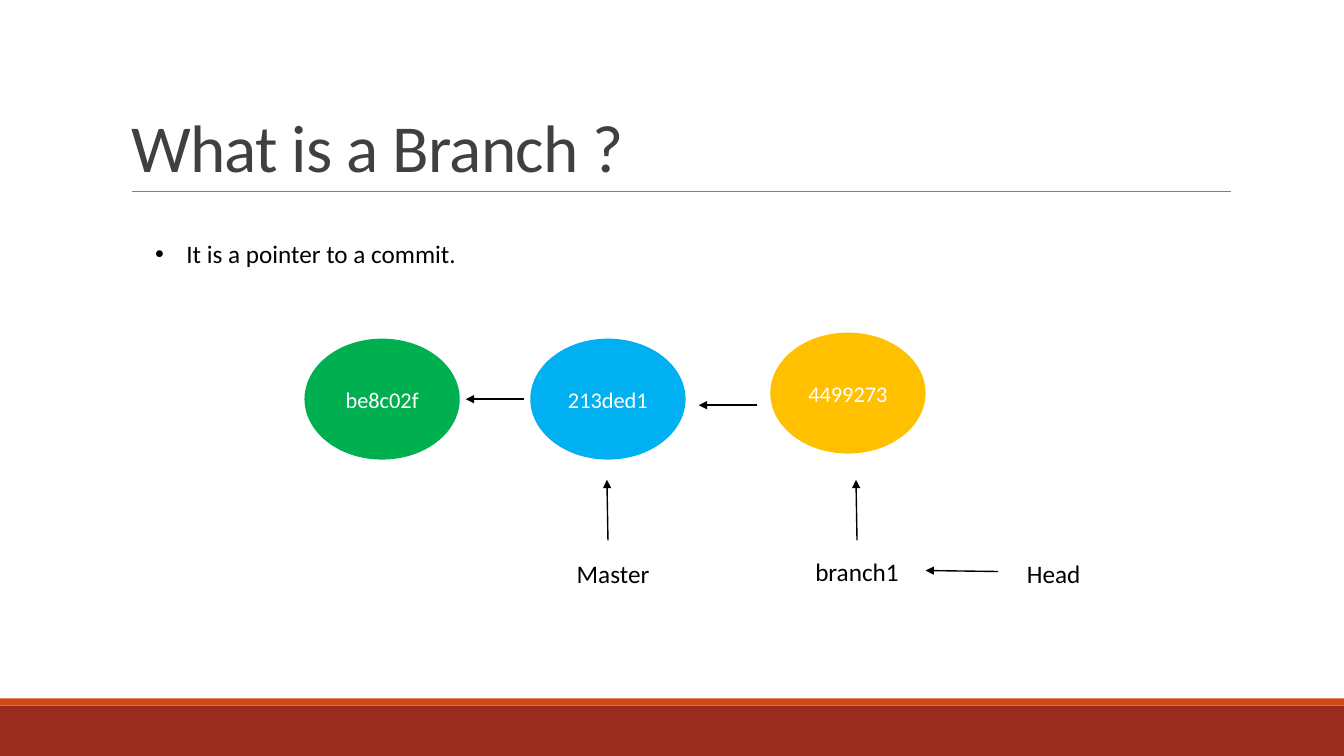
"""Build a slide that explains a branch as a pointer to a commit."""
from dataclasses import dataclass

from lxml.etree import SubElement
from pptx import Presentation
from pptx.dml.color import RGBColor
from pptx.enum.shapes import MSO_CONNECTOR, MSO_SHAPE
from pptx.enum.text import MSO_ANCHOR, MSO_AUTO_SIZE, PP_ALIGN
from pptx.oxml.ns import qn
from pptx.util import Inches, Pt


@dataclass(frozen=True)
class Theme:
    """Colours, font and type sizes of the slide."""
    font: str = "Calibri"
    title_size: int = 48
    body_size: int = 18
    commit_size: int = 16
    title: str = "404040"
    text: str = "000000"
    on_commit: str = "FFFFFF"
    rule: str = "808080"
    band: str = "9B2D1F"
    accent: str = "D34817"
    first_commit: str = "00B050"
    master_commit: str = "00B0F0"
    branch_commit: str = "FFC000"


class BranchSlide:
    """Holds the theme and the slide, and draws each kind of element."""

    def __init__(self, deck, theme):
        """Add a title-only slide to the deck."""
        self.theme = theme
        self.slide = deck.slides.add_slide(deck.slide_layouts[5])

    def fill_text(self, frame, text, size, color, align, anchor):
        """Fill a text frame with one formatted paragraph and return it."""
        frame_format = {
            "word_wrap": True,
            "auto_size": MSO_AUTO_SIZE.NONE,
            "vertical_anchor": anchor,
        }
        for name, value in frame_format.items():
            setattr(frame, name, value)
        paragraph = frame.paragraphs[0]
        paragraph.alignment = align
        run = paragraph.add_run()
        run.text = text
        for name, value in {"name": self.theme.font, "size": Pt(size)}.items():
            setattr(run.font, name, value)
        run.font.color.rgb = RGBColor.from_string(color)
        return paragraph

    def title(self, text, *box):
        """Place and format the title placeholder."""
        heading = self.slide.shapes.title
        for name, value in zip(("left", "top", "width", "height"), box):
            setattr(heading, name, Inches(value))
        paragraph = self.fill_text(heading.text_frame, text, self.theme.title_size,
                                   self.theme.title, PP_ALIGN.LEFT, MSO_ANCHOR.BOTTOM)
        paragraph.line_spacing = 0.85
        paragraph.runs[0]._r.get_or_add_rPr().set("spc", "-50")

    def label(self, text, *box, align=PP_ALIGN.CENTER):
        """Add a text box and return its paragraph."""
        holder = self.slide.shapes.add_textbox(*map(Inches, box))
        return self.fill_text(holder.text_frame, text, self.theme.body_size,
                              self.theme.text, align, MSO_ANCHOR.TOP)

    def bullet(self, text, *box):
        """Add a text box with one bulleted line."""
        properties = self.label(text, *box, align=PP_ALIGN.LEFT)._p.get_or_add_pPr()
        indent = Inches(0.31)
        for name, value in {"marL": indent, "indent": -indent}.items():
            properties.set(name, str(value))
        SubElement(properties, qn("a:buFont"), typeface="Arial")
        SubElement(properties, qn("a:buChar"), char="•")

    def block(self, preset, color, *box):
        """Add a filled shape without outline or shadow."""
        figure = self.slide.shapes.add_shape(preset, *map(Inches, box))
        figure.shadow.inherit = False
        figure.fill.solid()
        figure.fill.fore_color.rgb = RGBColor.from_string(color)
        figure.line.fill.background()
        return figure

    def commit(self, text, color, left, top):
        """Add an ellipse that carries a commit hash."""
        ellipse = self.block(MSO_SHAPE.OVAL, color, left, top, 1.54, 1.2)
        self.fill_text(ellipse.text_frame, text, self.theme.commit_size,
                       self.theme.on_commit, PP_ALIGN.CENTER, MSO_ANCHOR.MIDDLE)

    def line(self, color, width, *ends):
        """Add a straight line without shadow."""
        stroke = self.slide.shapes.add_connector(
            MSO_CONNECTOR.STRAIGHT, *map(Inches, ends))
        stroke.line.color.rgb = RGBColor.from_string(color)
        stroke.line.width = Pt(width)
        SubElement(stroke._element.spPr, qn("a:effectLst"))
        return stroke

    def arrow(self, *ends):
        """Add a line with an arrowhead at its end."""
        pointer = self.line(self.theme.text, 1, *ends)
        SubElement(pointer.line._get_or_add_ln(), qn("a:tailEnd"), type="triangle")


def main():
    """Draw the slide and save it."""
    deck = Presentation()
    deck.slide_width, deck.slide_height = Inches(13.33), Inches(7.5)
    theme = Theme()
    page = BranchSlide(deck, theme)

    page.block(MSO_SHAPE.RECTANGLE, theme.band, 0, 7, 13.33, 0.5)
    page.block(MSO_SHAPE.RECTANGLE, theme.accent, 0, 6.93, 13.33, 0.07)
    page.line(theme.rule, 0.5, 1.31, 1.9, 12.21, 1.9)
    page.title("What is a Branch ?", 1.2, 0.31, 11, 1.59)
    page.bullet("It is a pointer to a commit.", 1.44, 2.32, 6.42, 0.4)

    for commit_hash, color, left, top in (
        ("be8c02f", theme.first_commit, 3.02, 3.36),
        ("213ded1", theme.master_commit, 5.26, 3.36),
        ("4499273", theme.branch_commit, 7.64, 3.3),
    ):
        page.commit(commit_hash, color, left, top)

    for pointer_name, left, top in (
        ("Master", 4.99, 5.49),
        ("branch1", 7.41, 5.47),
        ("Head", 9.36, 5.49),
    ):
        page.label(pointer_name, left, top, 2.18, 0.4)

    for parent_x, y in ((4.62, 3.96), (6.93, 4.02)):
        page.arrow(parent_x + 0.58, y, parent_x, y)
    for branch_x in (6.03, 8.5):
        page.arrow(branch_x, 5.36, branch_x - 0.01, 4.76)
    page.arrow(9.9, 5.67, 9.18, 5.66)

    deck.save("out.pptx")


if __name__ == "__main__":
    main()
